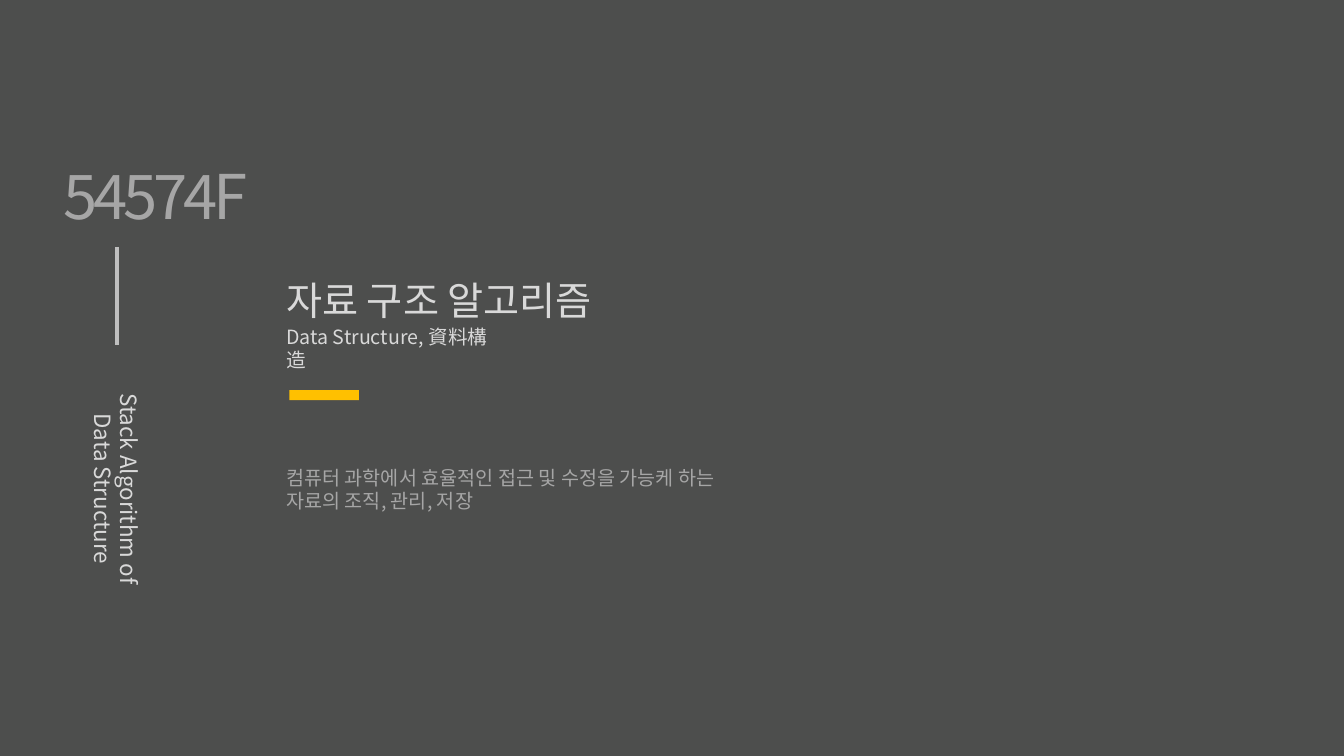
"""Build the title slide of a data structure lecture."""
from lxml import etree
from pptx import Presentation
from pptx.dml.color import RGBColor
from pptx.enum import shapes, text
from pptx.oxml import ns
from pptx.util import Inches, Pt

FONT = "Noto Sans CJK KR"
COLORS = {
    "background": "4D4E4D",
    "muted": "A6A6A6",
    "light": "D9D9D9",
    "rule": "BFBFBF",
    "accent": "FFC000",
}


def color(name):
    return RGBColor.from_string(COLORS[name])


def add_label(slide, wording, box, size, tone, spacing=None):
    label = slide.shapes.add_textbox(*map(Inches, box))
    frame = label.text_frame
    frame.word_wrap = True
    frame.auto_size = text.MSO_AUTO_SIZE.SHAPE_TO_FIT_TEXT
    frame.text = wording
    run = frame.paragraphs[0].runs[0]
    run.font.size = Pt(size)
    run.font.name = FONT
    run.font.color.rgb = color(tone)
    properties = run._r.get_or_add_rPr()
    etree.SubElement(properties, ns.qn("a:ea"), typeface=FONT)
    if spacing is not None:
        properties.set("spc", str(spacing * 100))
    return label


def add_rule(slide, x, top, bottom):
    rule = slide.shapes.add_connector(
        shapes.MSO_CONNECTOR.STRAIGHT, *map(Inches, (x, top, x, bottom)))
    rule.line.color.rgb = color("rule")
    rule.line.width = Pt(2.25)
    etree.SubElement(rule._element.spPr, ns.qn("a:effectLst"))


def add_bar(slide, box):
    bar = slide.shapes.add_shape(
        shapes.MSO_SHAPE.RECTANGLE, *map(Inches, box))
    bar.shadow.inherit = False
    bar.fill.solid()
    bar.fill.fore_color.rgb = color("accent")
    bar.line.fill.background()


def main():
    deck = Presentation()
    deck.slide_width, deck.slide_height = Inches(13.33), Inches(7.5)
    slide = deck.slides.add_slide(deck.slide_layouts[6])
    slide.background.fill.solid()
    slide.background.fill.fore_color.rgb = color("background")

    add_label(slide, "54574F", (0.53, 1.52, 2.37, 0.84), 44, "muted", spacing=-3)
    side_title = add_label(slide, "Stack Algorithm of Data Structure",
                           (-0.03, 4.53, 2.36, 0.64), 16, "light")
    side_title.rotation = 90
    side_title.text_frame.paragraphs[0].alignment = text.PP_ALIGN.CENTER
    add_rule(slide, 1.16, 2.45, 3.42)

    add_label(slide, "자료 구조 알고리즘", (2.74, 2.69, 3.32, 0.57), 28, "light")
    add_label(slide, "Data Structure, 資料構造", (2.74, 3.17, 2.37, 0.34), 14, "light")
    add_bar(slide, (2.87, 3.87, 0.69, 0.1))
    add_label(slide,
              "컴퓨터 과학에서 효율적인 접근 및 수정을 가능케 하는 자료의 조직, 관리, 저장",
              (2.74, 4.57, 4.48, 0.57), 14, "muted")
    deck.save("out.pptx")


if __name__ == "__main__":
    main()
